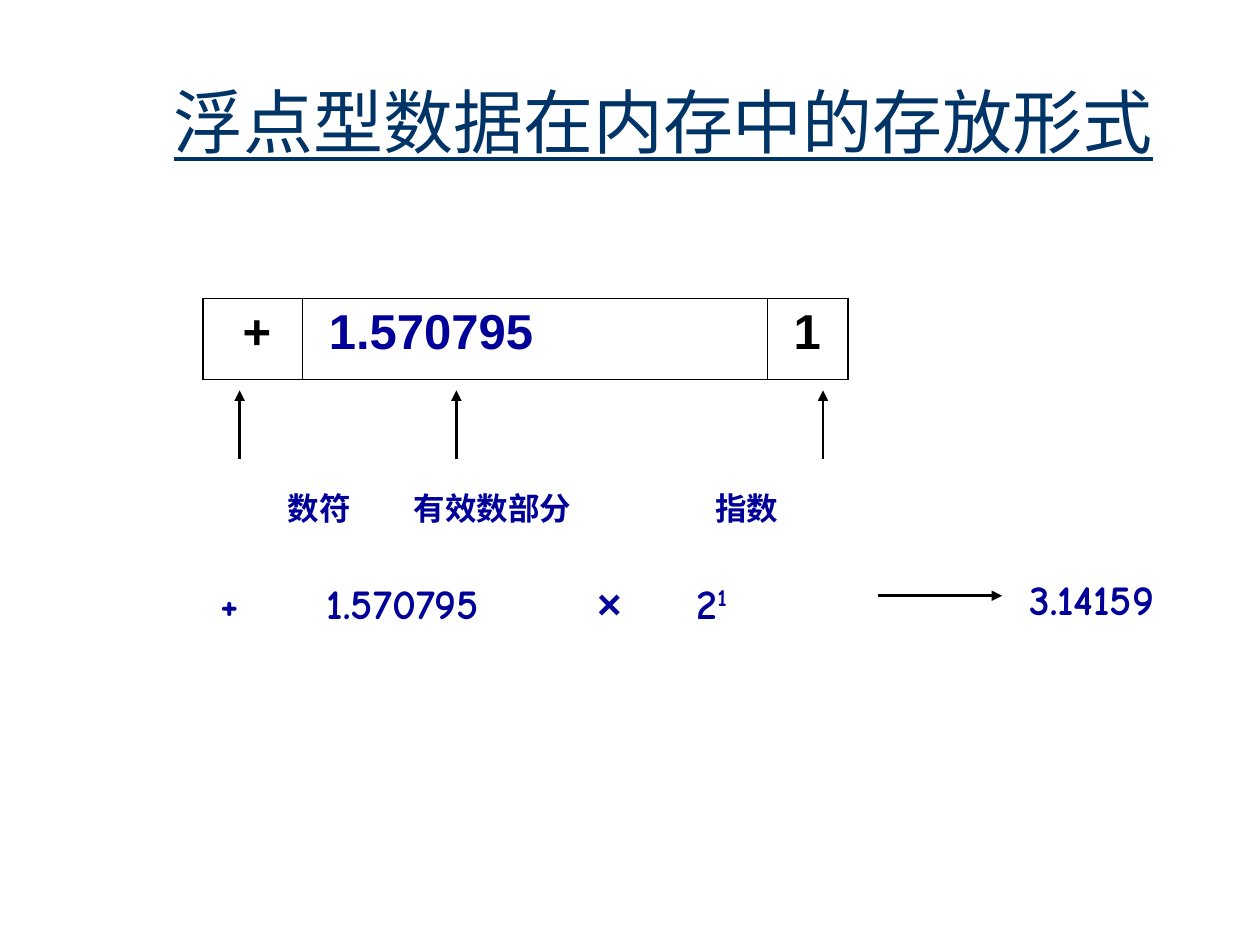
from lxml import etree
from pptx import Presentation
from pptx.dml.color import RGBColor
from pptx.enum.shapes import MSO_CONNECTOR
from pptx.enum.text import MSO_ANCHOR, PP_ALIGN
from pptx.oxml.ns import qn
from pptx.util import Cm, Pt

STRAIGHT = MSO_CONNECTOR.STRAIGHT
MIDDLE = MSO_ANCHOR.MIDDLE
CENTER = PP_ALIGN.CENTER
BLACK, BLUE, NAVY = "000000", "000099", "003366"


def color(hex_string):
    return RGBColor.from_string(hex_string)


def add_text(left, top, width, height, text, size, text_color, tabs=()):
    shape = slide.shapes.add_textbox(Cm(left), Cm(top), Cm(width), Cm(height))
    shape.text_frame.word_wrap = True
    paragraph = shape.text_frame.paragraphs[0]
    if tabs:
        tab_list = etree.SubElement(paragraph._p.get_or_add_pPr(), qn("a:tabLst"))
        for position in tabs:
            etree.SubElement(tab_list, qn("a:tab"), pos=str(Cm(position)), algn="l")
    paragraph.add_run().text = text
    paragraph.font.size = Pt(size)
    paragraph.font.color.rgb = color(text_color)
    paragraph.font.name = "Comic Neue"
    return shape


presentation = Presentation()
presentation.slide_width = Cm(25.4)
presentation.slide_height = Cm(19.05)
slide = presentation.slides.add_slide(presentation.slide_layouts[6])

# Title
title = add_text(3.25, 0.84, 21.59, 3.18, "浮点型数据在内存中的存放形式", 40, NAVY)
title.text_frame.vertical_anchor = MIDDLE
title.text_frame.paragraphs[0].font.underline = True

# Memory layout: sign, significand, exponent
fields = [("+", 2.01, 0.8, BLACK), ("1.570795", 9.37, 0.53, BLUE), ("1", 1.63, 0.53, BLACK)]
frame = slide.shapes.add_table(1, len(fields), Cm(4.09), Cm(6.02), Cm(13.01), Cm(1.63))
table = frame.table
table.first_row = table.horz_banding = False
table.rows[0].height = Cm(1.63)
for index, (text, width, margin, text_color) in enumerate(fields):
    table.columns[index].width = Cm(width)
    cell = table.cell(0, index)
    cell.margin_left = Cm(margin)
    cell.margin_right = Cm(0.2)
    cell.text = text
    font = cell.text_frame.paragraphs[0].font
    font.name, font.size, font.bold = "Arial", Pt(28), True
    font.color.rgb = color(text_color)

    # Thin inner borders, thicker outer ones
    left_width = 1.08 if index == 0 else 0.45
    right_width = 1.08 if index == len(fields) - 1 else 0.45
    properties = cell._tc.get_or_add_tcPr()
    for side, points in (("L", left_width), ("R", right_width), ("T", 1.08), ("B", 1.08)):
        border = etree.SubElement(properties, qn(f"a:ln{side}"), w=str(Pt(points)))
        fill = etree.SubElement(border, qn("a:solidFill"))
        etree.SubElement(fill, qn("a:srgbClr"), val=BLACK)
    cell.fill.background()

# Field names
labels = add_text(2.95, 9.73, 15.62, 1.02, "\t数符\t有效数部分\t指数", 18, BLUE, (2.6, 5.14, 11.22))
labels.text_frame.paragraphs[0].font.bold = True

# Arrows up to the fields, and from the formula to its value
arrows = [(x, 9.25, x, 7.87) for x in (4.83, 9.2, 16.59)] + [(17.7, 12.01, 20.2, 12.01)]
for ends in arrows:
    arrow = slide.shapes.add_connector(STRAIGHT, *map(Cm, ends))
    arrow.line.color.rgb = color(BLACK)
    arrow.line.width = Pt(1.5)
    etree.SubElement(arrow.line._get_or_add_ln(), qn("a:tailEnd"), type="triangle")
    etree.SubElement(arrow._element.spPr, qn("a:effectLst"))

# Formula
formula = add_text(4.19, 11.51, 15.49, 1.27, "+\t1.570795\t", 24, BLUE, (2.15, 7.6, 9.6))
paragraph = formula.text_frame.paragraphs[0]
paragraph.font.bold = True
times = paragraph.add_run()
times.text = "×"
times.font.name = "Arial"
paragraph.add_run().text = "\t2"
exponent = paragraph.add_run()
exponent.text = "1"
exponent._r.get_or_add_rPr().set("baseline", "30000")

# Value
value = add_text(20.5, 11.43, 3.02, 1.27, "3.14159", 24, BLUE)
value.text_frame.word_wrap = False
value.text_frame.paragraphs[0].alignment = CENTER
value.text_frame.paragraphs[0].font.bold = True

presentation.save("out.pptx")
